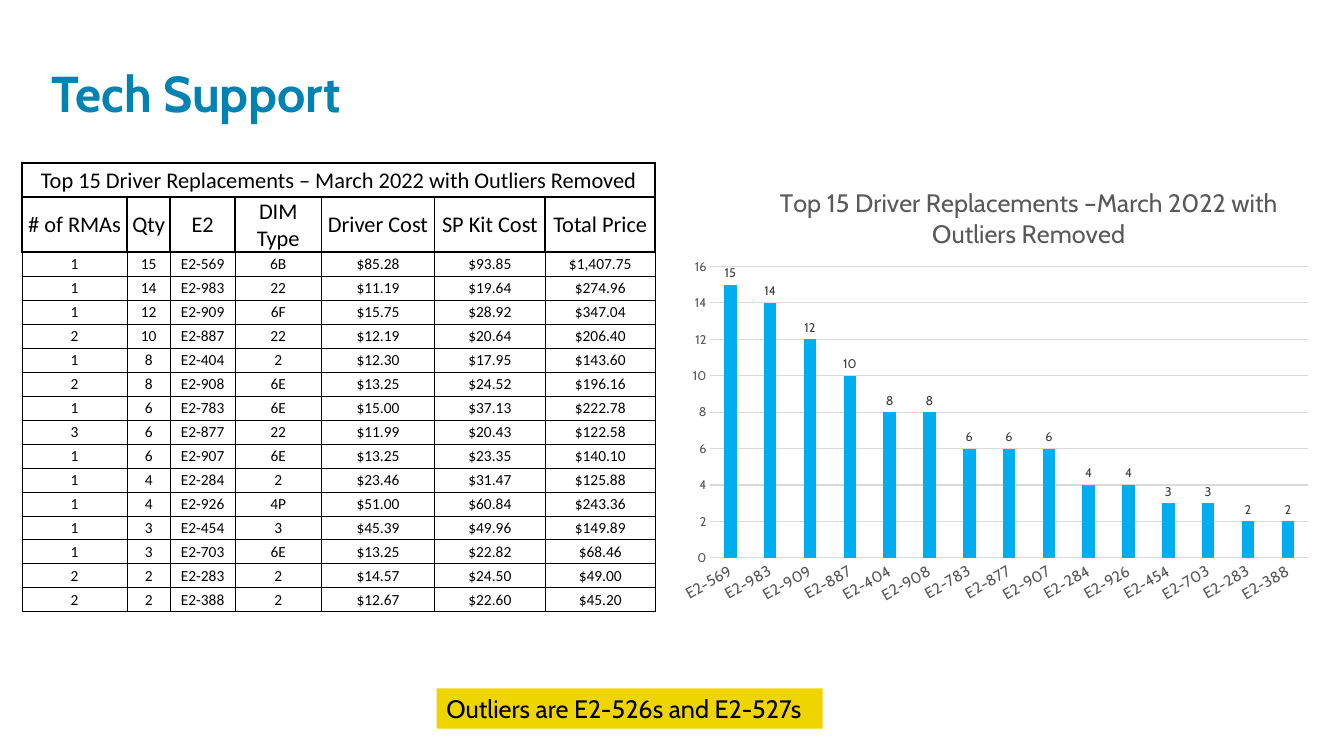
import dataclasses
import itertools
from typing import Any

import pptx
import pptx.chart.data
import pptx.dml.color
import pptx.enum.chart
import pptx.enum.shapes
import pptx.enum.text
import pptx.oxml
import pptx.oxml.ns
import pptx.util

RGBColor = pptx.dml.color.RGBColor
BLACK = RGBColor(0x00, 0x00, 0x00)
WHITE = RGBColor(0xFF, 0xFF, 0xFF)
TITLE_BLUE = RGBColor(0x00, 0x83, 0xB3)
BAR_BLUE = RGBColor(0x00, 0xAE, 0xEF)
NOTE_YELLOW = RGBColor(0xEE, 0xD5, 0x00)
AXIS_GRAY = RGBColor(0x59, 0x59, 0x59)
LABEL_GRAY = RGBColor(0x40, 0x40, 0x40)
GRID_GRAY = RGBColor(0xD9, 0xD9, 0xD9)

SLIDE_WIDTH = pptx.util.Inches(13.33)
SLIDE_HEIGHT = pptx.util.Inches(7.5)
THIN, THICK = 0.5, 1.5


@dataclasses.dataclass(frozen=True)
class Box:
    """A place on the slide, in percent of its width and height."""
    left: float
    top: float
    width: float
    height: float

    def lengths(self) -> tuple[int, int, int, int]:
        return (int(SLIDE_WIDTH * self.left / 100), int(SLIDE_HEIGHT * self.top / 100),
                int(SLIDE_WIDTH * self.width / 100), int(SLIDE_HEIGHT * self.height / 100))


@dataclasses.dataclass(frozen=True)
class Replacement:
    rmas: int
    quantity: int
    code: str
    dim_type: str
    driver_cost: float
    kit_cost: float
    total_price: float

    def texts(self) -> list[str]:
        prices = (self.driver_cost, self.kit_cost, self.total_price)
        return [str(self.rmas), str(self.quantity), self.code, self.dim_type,
                *(f"${price:,.2f}" for price in prices)]


TITLE_BOX = Box(3.08, 2.27, 71.27, 14.53)
TABLE_BOX = Box(1.65, 21.6, 47.11, 59.33)
CHART_BOX = Box(49.96, 21.6, 48.31, 59.33)
NOTE_BOX = Box(32.48, 91.07, 28.73, 5.33)

TABLE_TITLE = "Top 15 Driver Replacements – March 2022 with Outliers Removed"
CHART_TITLE = "Top 15 Driver Replacements –March 2022 with Outliers Removed"
HEADERS = ["# of RMAs", "Qty", "E2", "DIM Type", "Driver Cost", "SP Kit Cost", "Total Price"]
COLUMN_WEIGHTS = [104, 43, 64, 86, 112, 110, 109]
REPLACEMENTS = [
    Replacement(1, 15, "E2-569", "6B", 85.28, 93.85, 1407.75),
    Replacement(1, 14, "E2-983", "22", 11.19, 19.64, 274.96),
    Replacement(1, 12, "E2-909", "6F", 15.75, 28.92, 347.04),
    Replacement(2, 10, "E2-887", "22", 12.19, 20.64, 206.40),
    Replacement(1, 8, "E2-404", "2", 12.30, 17.95, 143.60),
    Replacement(2, 8, "E2-908", "6E", 13.25, 24.52, 196.16),
    Replacement(1, 6, "E2-783", "6E", 15.00, 37.13, 222.78),
    Replacement(3, 6, "E2-877", "22", 11.99, 20.43, 122.58),
    Replacement(1, 6, "E2-907", "6E", 13.25, 23.35, 140.10),
    Replacement(1, 4, "E2-284", "2", 23.46, 31.47, 125.88),
    Replacement(1, 4, "E2-926", "4P", 51.00, 60.84, 243.36),
    Replacement(1, 3, "E2-454", "3", 45.39, 49.96, 149.89),
    Replacement(1, 3, "E2-703", "6E", 13.25, 22.82, 68.46),
    Replacement(2, 2, "E2-283", "2", 14.57, 24.50, 49.00),
    Replacement(2, 2, "E2-388", "2", 12.67, 22.60, 45.20),
]
ROW_WEIGHTS = [34, 55] + [24] * len(REPLACEMENTS)


def set_attributes(target: Any, values: dict[str, Any]) -> None:
    for name, value in values.items():
        setattr(target, name, value)


def set_font(font: Any, name: str, size: float, color: RGBColor, bold: bool = False) -> None:
    set_attributes(font, {"name": name, "size": pptx.util.Pt(size), "bold": bold})
    font.color.rgb = color


def add_xml(tag: str, content: str, attributes: str = "") -> Any:
    namespaces = pptx.oxml.ns.nsdecls("a", "c")
    return pptx.oxml.parse_xml(f"<{tag} {namespaces} {attributes}>{content}</{tag}>")


def write_cell(cell: Any, text: str, size: float, top_width: float, other_width: float) -> None:
    small = pptx.util.Inches(0.01)
    set_attributes(cell, {
        "text": text, "vertical_anchor": pptx.enum.text.MSO_ANCHOR.MIDDLE,
        "margin_left": small, "margin_right": small, "margin_top": small, "margin_bottom": 0})
    paragraph = cell.text_frame.paragraphs[0]
    paragraph.alignment = pptx.enum.text.PP_ALIGN.CENTER
    set_font(paragraph.font, "Calibri", size, BLACK)
    properties = cell._tc.get_or_add_tcPr()
    for side in "LRTB":
        width = pptx.util.Pt(top_width if side == "T" else other_width)
        line_fill = f'<a:solidFill><a:srgbClr val="{BLACK}"/></a:solidFill>'
        properties.append(add_xml(f"a:ln{side}", line_fill, f'w="{int(width)}"'))
    cell.fill.background()


def add_replacement_table(slide: Any) -> None:
    left, top, width, height = TABLE_BOX.lengths()
    table = slide.shapes.add_table(
        len(ROW_WEIGHTS), len(COLUMN_WEIGHTS), left, top, width, height).table
    set_attributes(table, {"first_row": False, "horz_banding": False})
    for column, weight in zip(table.columns, COLUMN_WEIGHTS):
        column.width = int(width * weight / sum(COLUMN_WEIGHTS))
    for row, weight in zip(table.rows, ROW_WEIGHTS):
        row.height = int(height * weight / sum(ROW_WEIGHTS))
    heading = [TABLE_TITLE] + [""] * (len(HEADERS) - 1)
    texts = [heading, HEADERS] + [replacement.texts() for replacement in REPLACEMENTS]
    for row, column in itertools.product(range(len(texts)), range(len(HEADERS))):
        write_cell(table.cell(row, column), texts[row][column], 16 if row < 2 else 11,
                   THICK if row < 3 else THIN, THICK if row < 2 else THIN)
    table.cell(0, 0).merge(table.cell(0, len(HEADERS) - 1))


def place_in_chart(parent: Any, index: int, attributes: dict[str, Any]) -> None:
    for layout in parent.findall(pptx.oxml.ns.qn("c:layout")):
        parent.remove(layout)
    content = "".join(f'<c:{name} val="{value}"/>' for name, value in attributes.items())
    parent.insert(index, add_xml("c:layout", f"<c:manualLayout>{content}</c:manualLayout>"))


def add_quantity_chart(slide: Any) -> None:
    data = pptx.chart.data.CategoryChartData()
    data.categories = [replacement.code for replacement in REPLACEMENTS]
    data.add_series("Series 1", [replacement.quantity for replacement in REPLACEMENTS])
    chart = slide.shapes.add_chart(
        pptx.enum.chart.XL_CHART_TYPE.COLUMN_CLUSTERED, *CHART_BOX.lengths(), data).chart
    set_font(chart.font, "Cabin", 10, BLACK)
    set_attributes(chart, {"has_legend": False, "has_title": True})

    # Title and plot positions within the chart
    chart.chart_title.text_frame.text = CHART_TITLE
    set_font(chart.chart_title.text_frame.paragraphs[0].runs[0].font, "Cabin", 18, AXIS_GRAY)
    chart_element = chart._chartSpace.chart
    edges = {"xMode": "edge", "yMode": "edge"}
    place_in_chart(chart_element.find(pptx.oxml.ns.qn("c:title")), 1,
                   edges | {"x": 0.16, "y": 0.04})
    place_in_chart(chart_element.plotArea, 0, {"layoutTarget": "inner"} | edges | {
        "x": 0.06, "y": 0.23, "w": 0.92, "h": 0.65})
    background = f'<a:solidFill><a:srgbClr val="{WHITE}"/></a:solidFill><a:ln><a:noFill/></a:ln>'
    chart_element.addnext(add_xml("c:spPr", background))

    # Bars and their labels
    plot = chart.plots[0]
    set_attributes(plot, {"gap_width": 219, "overlap": -27, "vary_by_categories": False,
                          "has_data_labels": True})
    set_attributes(plot.data_labels, {
        "show_value": True, "position": pptx.enum.chart.XL_LABEL_POSITION.OUTSIDE_END})
    set_font(plot.data_labels.font, "Cabin", 9, LABEL_GRAY)
    bar_fill = plot.series[0].format.fill
    bar_fill.solid()
    bar_fill.fore_color.rgb = BAR_BLUE

    # Axes
    category_axis, value_axis = chart.category_axis, chart.value_axis
    for axis, size in ((category_axis, 11), (value_axis, 9)):
        axis.major_tick_mark = pptx.enum.chart.XL_TICK_MARK.NONE
        set_font(axis.tick_labels.font, "Cabin", size, AXIS_GRAY)
    category_axis._element.txPr.bodyPr.set("rot", str(-30 * 60000))
    set_attributes(value_axis, {"minimum_scale": 0, "maximum_scale": 16, "major_unit": 2})
    value_axis.format.line.fill.background()
    for line in (category_axis.format.line, value_axis.major_gridlines.format.line):
        line.width = pptx.util.Pt(0.75)
        line.color.rgb = GRID_GRAY


def main() -> None:
    presentation = pptx.Presentation()
    set_attributes(presentation, {"slide_width": SLIDE_WIDTH, "slide_height": SLIDE_HEIGHT})
    slide = presentation.slides.add_slide(presentation.slide_layouts[6])

    # Slide title
    title = slide.shapes.add_textbox(*TITLE_BOX.lengths()).text_frame
    set_attributes(title, {"text": "Tech Support", "word_wrap": True,
                           "vertical_anchor": pptx.enum.text.MSO_ANCHOR.BOTTOM})
    title.paragraphs[0].line_spacing = 0.8
    set_font(title.paragraphs[0].runs[0].font, "Cabin", 36, TITLE_BLUE, bold=True)

    add_replacement_table(slide)

    # Note on outliers
    note = slide.shapes.add_shape(pptx.enum.shapes.MSO_SHAPE.RECTANGLE, *NOTE_BOX.lengths())
    note.shadow.inherit = False
    note.fill.solid()
    note.fill.fore_color.rgb = NOTE_YELLOW
    note.line.fill.background()
    set_attributes(note.text_frame, {
        "text": "Outliers are E2-526s and E2-527s", "word_wrap": True,
        "vertical_anchor": pptx.enum.text.MSO_ANCHOR.TOP,
        "auto_size": pptx.enum.text.MSO_AUTO_SIZE.SHAPE_TO_FIT_TEXT})
    note.text_frame.paragraphs[0].alignment = pptx.enum.text.PP_ALIGN.LEFT
    set_font(note.text_frame.paragraphs[0].runs[0].font, "Cabin", 18, BLACK)

    add_quantity_chart(slide)
    presentation.save("out.pptx")


main()
